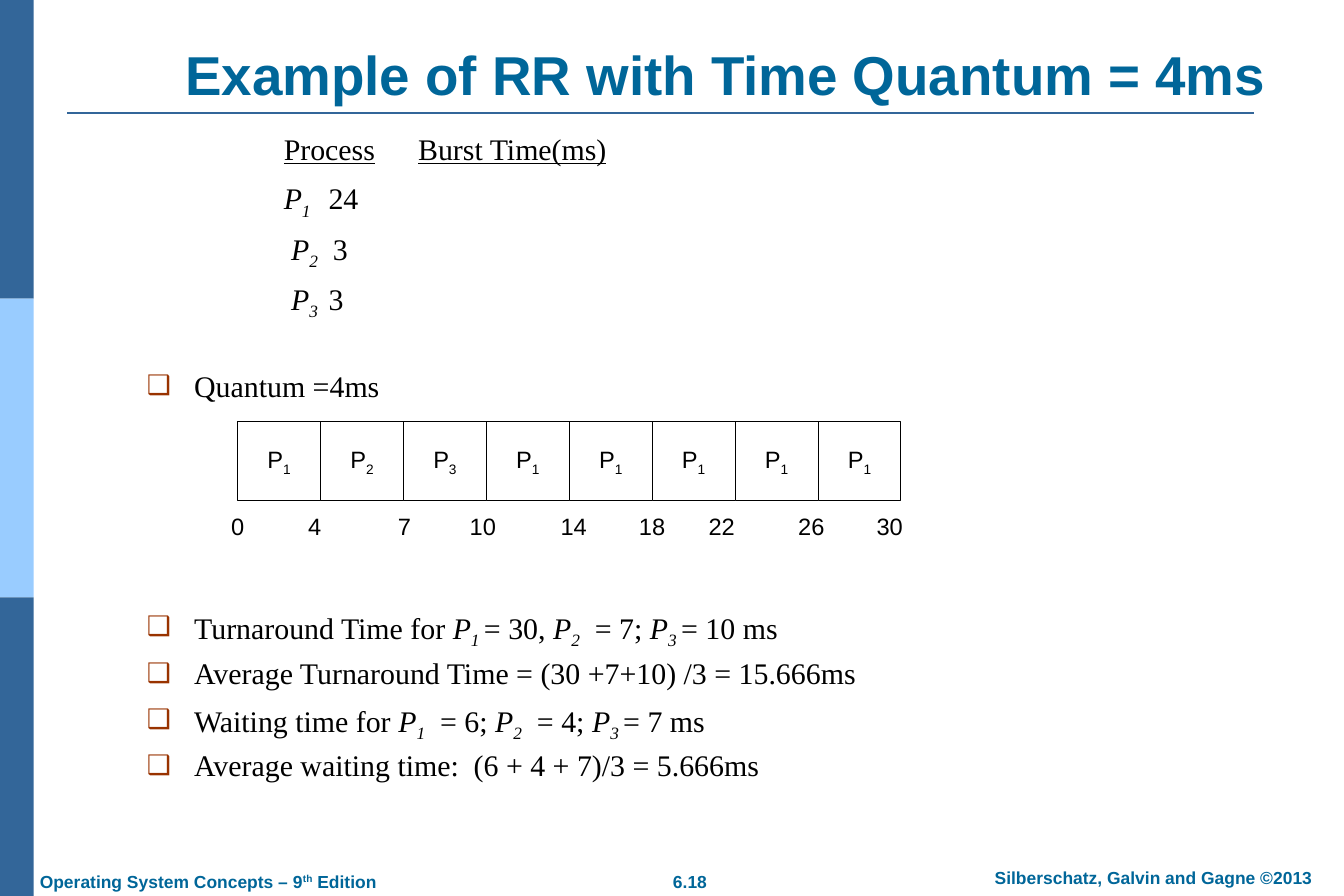
from lxml import etree
from pptx import Presentation
from pptx.dml.color import RGBColor
from pptx.enum import shapes, text
from pptx.oxml import ns
from pptx.util import Pt

NAVY = RGBColor(0x33, 0x66, 0x99)
SKY = RGBColor(0x99, 0xCC, 0xFF)
TEAL = RGBColor(0x00, 0x66, 0x99)
RUST = RGBColor(0x99, 0x33, 0x00)
BLACK = RGBColor(0, 0, 0)
WHITE = RGBColor(255, 255, 255)

WIDTH, HEIGHT = 1080, 720
CENTER, LEFT = text.PP_ALIGN.CENTER, text.PP_ALIGN.LEFT
MIDDLE, TOP, BOTTOM = (text.MSO_ANCHOR.MIDDLE, text.MSO_ANCHOR.TOP,
                       text.MSO_ANCHOR.BOTTOM)

TITLE = dict(name="Arial", size=Pt(44), bold=True)
FOOTER = dict(name="Arial", size=Pt(14), bold=True)
CHART = dict(name="Arial", size=Pt(19))
BODY = dict(name="Times New Roman", size=Pt(24))
ITALIC = dict(italic=True)
UNDERLINE = dict(underline=True)
SUB = dict(baseline=-25000)
ITALIC_SUB = dict(italic=True, baseline=-25000)
SUPER = dict(baseline=30000)

PROCESS_TABLE = [
    [("Process", UNDERLINE), ("\t", {}), ("Burst Time(ms)", UNDERLINE)],
    [("P", ITALIC), ("1\t", ITALIC_SUB), ("24", {})],
    [(" P", ITALIC), ("2\t ", ITALIC_SUB), ("3", {})],
    [(" P", ITALIC), ("3\t", ITALIC_SUB), ("3", {})],
]
QUANTUM = [("Quantum =4ms", {})]
RESULTS = [
    [("Turnaround Time for ", {}), ("P", ITALIC), ("1 ", ITALIC_SUB),
     ("= 30,", {}), (" P", ITALIC), ("2", ITALIC_SUB), ("  = 7; ", {}),
     ("P", ITALIC), ("3 ", ITALIC_SUB), ("= 10 ms", {})],
    [("Average Turnaround Time = (30 +7+10) /3 = 15.666ms", {})],
    [("Waiting time for ", {}), ("P", ITALIC), ("1", ITALIC_SUB),
     ("  = 6; ", {}), ("P", ITALIC), ("2", ITALIC_SUB), ("  = 4; ", {}),
     ("P", ITALIC), ("3 ", ITALIC_SUB), ("= 7 ms", {})],
    [("Average waiting time:  (6 + 4 + 7)/3 = 5.666ms", {})],
]
SCHEDULE = "12311111"
# Time and the distance of its label's centre from the left of the bar
TIMES = {"0": 0, "4": 62, "7": 134, "10": 197, "14": 270,
         "18": 333, "22": 389, "26": 461, "30": 524}


def place(shape, left, top, width, height):
    for key, value in dict(left=left, top=top, width=width, height=height).items():
        setattr(shape, key, Pt(value))


def set_frame(frame, anchor, side=10, edge=5, wrap=True):
    settings = dict(margin_left=Pt(side), margin_right=Pt(side),
                    margin_top=Pt(edge), margin_bottom=Pt(edge),
                    vertical_anchor=anchor, word_wrap=wrap,
                    auto_size=text.MSO_AUTO_SIZE.NONE)
    for key, value in settings.items():
        setattr(frame, key, value)


def write(para, spans, font, color, align):
    """Fill a paragraph with (text, style) spans on top of a base font."""
    para.alignment = align
    for words, style in spans:
        span = para.add_run()
        span.text = words
        span.font.color.rgb = color
        for key, value in {**font, **style}.items():
            if key == "baseline":
                span._r.get_or_add_rPr().set("baseline", str(value))
            else:
                setattr(span.font, key, value)


def add_rect(page, box, fill, line=None):
    rect = page.shapes.add_shape(shapes.MSO_SHAPE.RECTANGLE, *map(Pt, box))
    rect.shadow.inherit = False
    rect.fill.solid()
    rect.fill.fore_color.rgb = fill
    if line is None:
        rect.line.fill.background()
    else:
        rect.line.color.rgb = line
        rect.line.width = Pt(0.75)
    return rect


def add_label(page, box, spans, font, color, align=CENTER, side=10):
    label = page.shapes.add_textbox(*map(Pt, box))
    set_frame(label.text_frame, MIDDLE, side)
    write(label.text_frame.paragraphs[0], spans, font, color, align)


def set_bullet(para, margin, hanging, mark):
    props = para._p.get_or_add_pPr()
    props.set("marL", str(Pt(margin)))
    props.set("indent", str(Pt(-hanging)))
    if not mark:
        etree.SubElement(props, ns.qn("a:buNone"))
        return
    color = etree.SubElement(props, ns.qn("a:buClr"))
    etree.SubElement(color, ns.qn("a:srgbClr"), val=str(RUST))
    etree.SubElement(props, ns.qn("a:buSzPct"), val="90000")
    etree.SubElement(props, ns.qn("a:buChar"), char=mark)


def add_side_bands(page, left, top, width, height):
    band = height / 3
    for row, color in enumerate((NAVY, SKY, NAVY)):
        add_rect(page, (left, top + row * band, width, band), color)


def add_title(page, left, top, width, height):
    title = page.shapes.title
    place(title, left, top, width, height)
    set_frame(title.text_frame, BOTTOM)
    write(title.text_frame.paragraphs[0],
          [("Example of RR with Time Quantum = 4ms", {})], TITLE, TEAL, CENTER)
    base = Pt(top + height)
    rule = page.shapes.add_connector(shapes.MSO_CONNECTOR.STRAIGHT,
                                     Pt(54), base, Pt(1008), base)
    rule.line.color.rgb = NAVY
    rule.line.width = Pt(1.5)
    etree.SubElement(rule._element.spPr, ns.qn("a:effectLst"))


def add_body(page, left, top, width, height):
    body = page.placeholders[1]
    place(body, left, top, width, height)
    frame = body.text_frame
    set_frame(frame, TOP)
    rows = [(spans, 110, 0, "", 11) for spans in PROCESS_TABLE]
    rows.append((QUANTUM, 38, 38, "❑", 43))
    rows += [(spans, 38, 38, "❑", 9.5) for spans in RESULTS]
    for index, (spans, margin, hanging, mark, gap) in enumerate(rows):
        para = frame.add_paragraph() if index else frame.paragraphs[0]
        set_bullet(para, margin, hanging, mark)
        para.line_spacing = 0.9
        if spans is RESULTS[0]:
            gap = 166  # leaves room for the Gantt chart
        para.space_before = Pt(gap if index else 0)
        write(para, spans, BODY, BLACK, LEFT)


def add_gantt(page, left, top, width, height):
    step = width / len(SCHEDULE)
    for column, process in enumerate(SCHEDULE):
        cell = add_rect(page, (left + column * step, top, step, height), WHITE, BLACK)
        set_frame(cell.text_frame, MIDDLE, wrap=False)
        write(cell.text_frame.paragraphs[0], [("P", {}), (process, SUB)],
              CHART, BLACK, CENTER)
    for time, offset in TIMES.items():
        add_label(page, (left + offset - 18, top + height + 5, 36, 30),
                  [(time, {})], CHART, BLACK, side=0)


def add_footer(page, left, top, width, height):
    add_label(page, (left, top, 294, height),
              [("Operating System Concepts – 9", {}), ("th", SUPER),
               (" Edition", {})], FOOTER, TEAL, LEFT)
    add_label(page, (left + width / 2 - 40, top, 80, height),
              [("6.18", {})], FOOTER, TEAL)
    add_label(page, (left + width - 320, top - 2.5, 320, height),
              [("Silberschatz, Galvin and Gagne ©2013", {})], FOOTER, TEAL)


def main():
    deck = Presentation()
    deck.slide_width, deck.slide_height = Pt(WIDTH), Pt(HEIGHT)
    page = deck.slides.add_slide(deck.slide_layouts[1])
    add_side_bands(page, 0, 0, 27, HEIGHT)
    add_title(page, 108, 2, 951, 88.5)
    add_body(page, 108, 103, 868, 471)
    add_gantt(page, 191, 338.5, 533, 64)
    add_footer(page, 22, 694.5, 1065, 27)
    deck.save("out.pptx")


if __name__ == "__main__":
    main()
